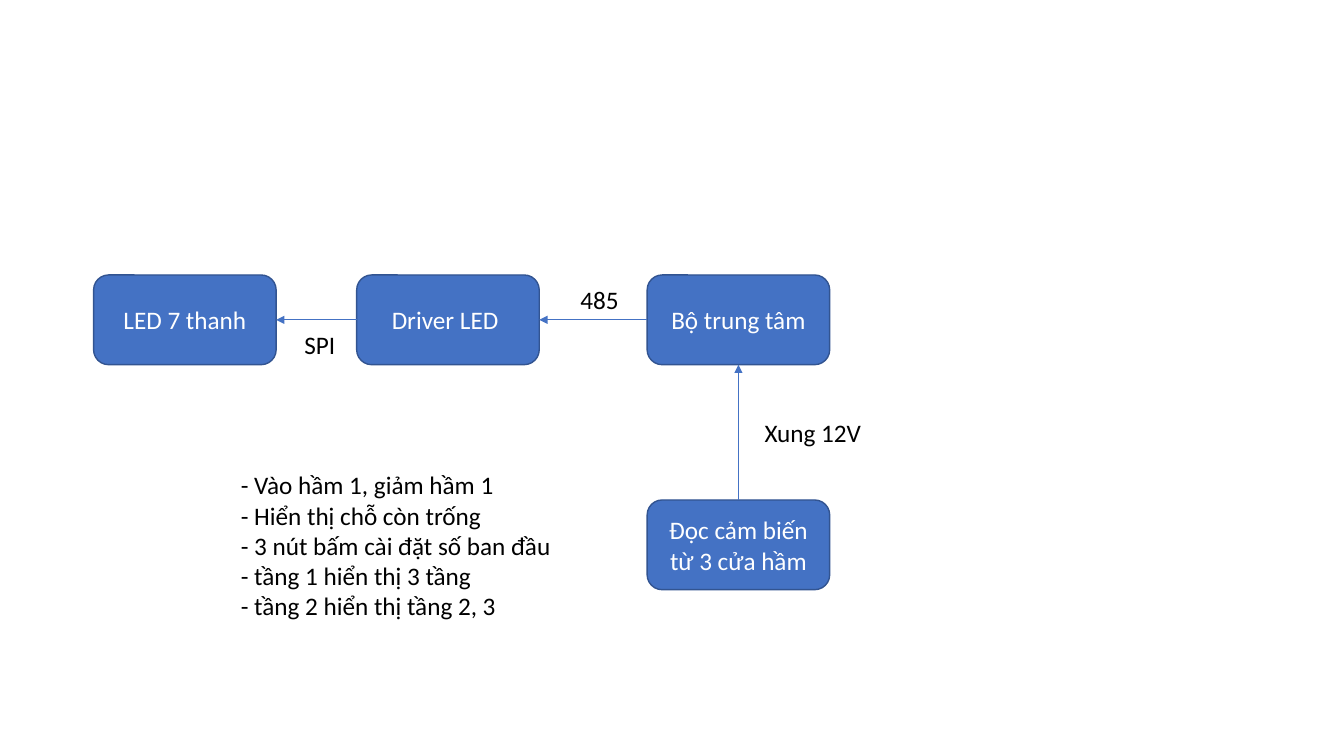
from pptx import Presentation
from pptx.dml.color import RGBColor
from pptx.enum.shapes import MSO_CONNECTOR, MSO_SHAPE
from pptx.enum.text import MSO_ANCHOR, MSO_AUTO_SIZE, PP_ALIGN
from pptx.oxml.ns import qn
from pptx.util import Cm, Pt
from lxml import etree

ROUNDED = MSO_SHAPE.ROUNDED_RECTANGLE
STRAIGHT = MSO_CONNECTOR.STRAIGHT
MIDDLE, TOP_ANCHOR = MSO_ANCHOR.MIDDLE, MSO_ANCHOR.TOP
CENTER, LEFT_ALIGN = PP_ALIGN.CENTER, PP_ALIGN.LEFT
TOP, LEFT, BOTTOM, RIGHT = range(4)  # connection sites of a block

THEME = {
    "font": "Calibri",
    "size": Pt(18),
    "block": RGBColor(0x44, 0x72, 0xC4),
    "border": RGBColor(0x32, 0x54, 0x91),
    "block_text": RGBColor(0xFF, 0xFF, 0xFF),
    "text": RGBColor(0, 0, 0),
    "border_width": Pt(1),
    "arrow_width": Pt(0.5),
}

# Content: blocks (name: text, column, row), signals between them, notes
BLOCKS = {
    "display": ("LED 7 thanh", 0, 0),
    "driver": ("Driver LED ", 1, 0),
    "center": ("Bộ trung tâm", 2, 0),
    "sensors": ("Đọc cảm biến từ 3 cửa hầm", 2, 1),
}
# from, site, to, site, label, label box (left, top, width) in cm
SIGNALS = [
    ("sensors", TOP, "center", BOTTOM, "Xung 12V", (19.02, 10.39, 2.97)),
    ("center", LEFT, "driver", RIGHT, "485", (14.38, 7.04, 1.5)),
    ("driver", LEFT, "display", RIGHT, "SPI", (7.42, 8.18, 1.3)),
]
NOTES = [
    "- Vào hầm 1, giảm hầm 1",
    "- Hiển thị chỗ còn trống",
    "- 3 nút bấm cài đặt số ban đầu",
    "- tầng 1 hiển thị 3 tầng",
    "- tầng 2 hiển thị tầng 2, 3",
]

# Layout in cm
COLUMNS = (2.36, 8.99, 16.31)
ROWS = (6.93, 12.6)
BLOCK_SIZE = (4.6, 2.26)
LABEL_HEIGHT = 1.02
NOTES_BOX = (5.82, 11.71, 8.41, 4.88)

deck = Presentation()
deck.slide_width, deck.slide_height = Cm(33.87), Cm(19.05)
blank_layout = deck.slide_layouts[6]
slide = deck.slides.add_slide(blank_layout)


def write(frame, lines, color, align):
    frame.text = "\n".join(lines)
    for paragraph in frame.paragraphs:
        paragraph.alignment = align
        paragraph.font.name = THEME["font"]
        paragraph.font.size = THEME["size"]
        paragraph.font.color.rgb = color


def add_block(text, column, row):
    block = slide.shapes.add_shape(
        ROUNDED, *map(Cm, (COLUMNS[column], ROWS[row], *BLOCK_SIZE)))
    block.shadow.inherit = False
    block.fill.solid()
    block.fill.fore_color.rgb = THEME["block"]
    block.line.color.rgb = THEME["border"]
    block.line.width = THEME["border_width"]
    block.text_frame.word_wrap = True
    block.text_frame.vertical_anchor = MIDDLE
    write(block.text_frame, [text], THEME["block_text"], CENTER)
    return block


def add_arrow(source, source_site, target, target_site):
    arrow = slide.shapes.add_connector(STRAIGHT, 0, 0, 0, 0)
    arrow.begin_connect(source, source_site)
    arrow.end_connect(target, target_site)
    arrow.line.color.rgb = THEME["block"]
    arrow.line.width = THEME["arrow_width"]
    etree.SubElement(arrow.line._get_or_add_ln(), qn("a:tailEnd"), type="triangle")
    etree.SubElement(arrow._element.spPr, qn("a:effectLst"))


def add_text(lines, box):
    frame = slide.shapes.add_textbox(*map(Cm, box)).text_frame
    frame.word_wrap = False
    frame.auto_size = MSO_AUTO_SIZE.SHAPE_TO_FIT_TEXT
    frame.vertical_anchor = TOP_ANCHOR
    write(frame, lines, THEME["text"], LEFT_ALIGN)


# Blocks
blocks = {name: add_block(*block) for name, block in BLOCKS.items()}

# Signals with their labels
for source, source_site, target, target_site, label, label_box in SIGNALS:
    add_arrow(blocks[source], source_site, blocks[target], target_site)
    add_text([label], (*label_box, LABEL_HEIGHT))

# Notes
add_text(NOTES, NOTES_BOX)

deck.save("out.pptx")
